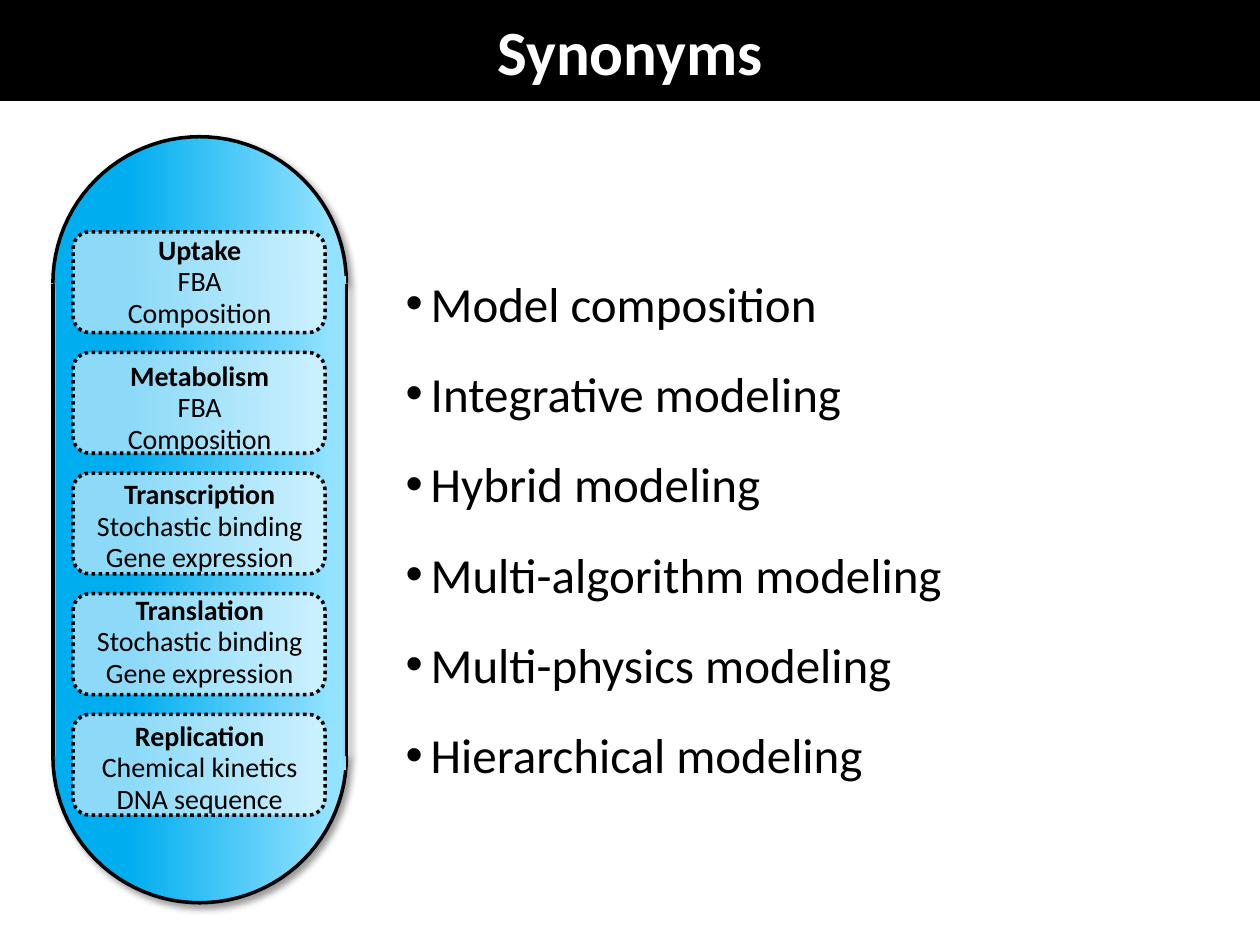
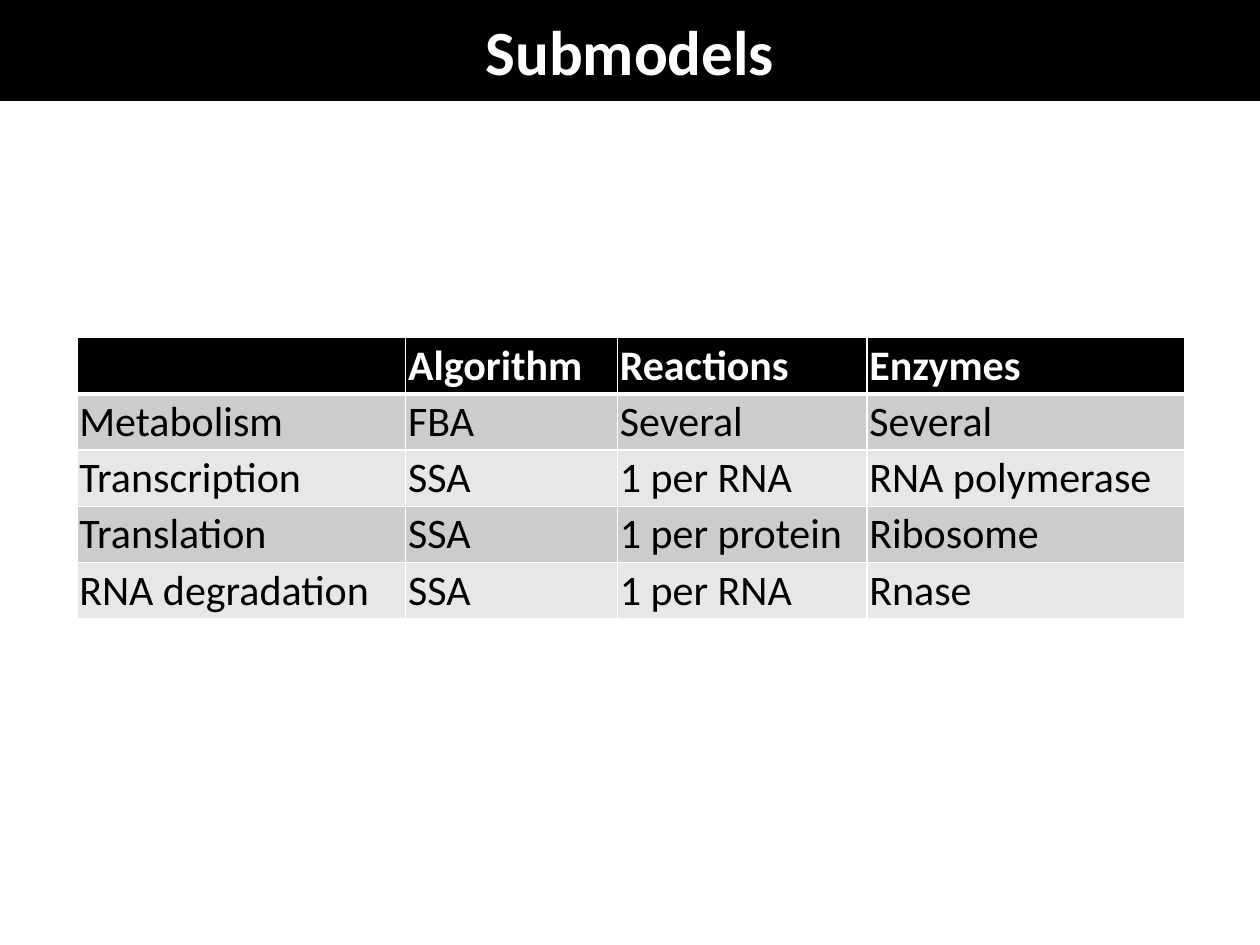
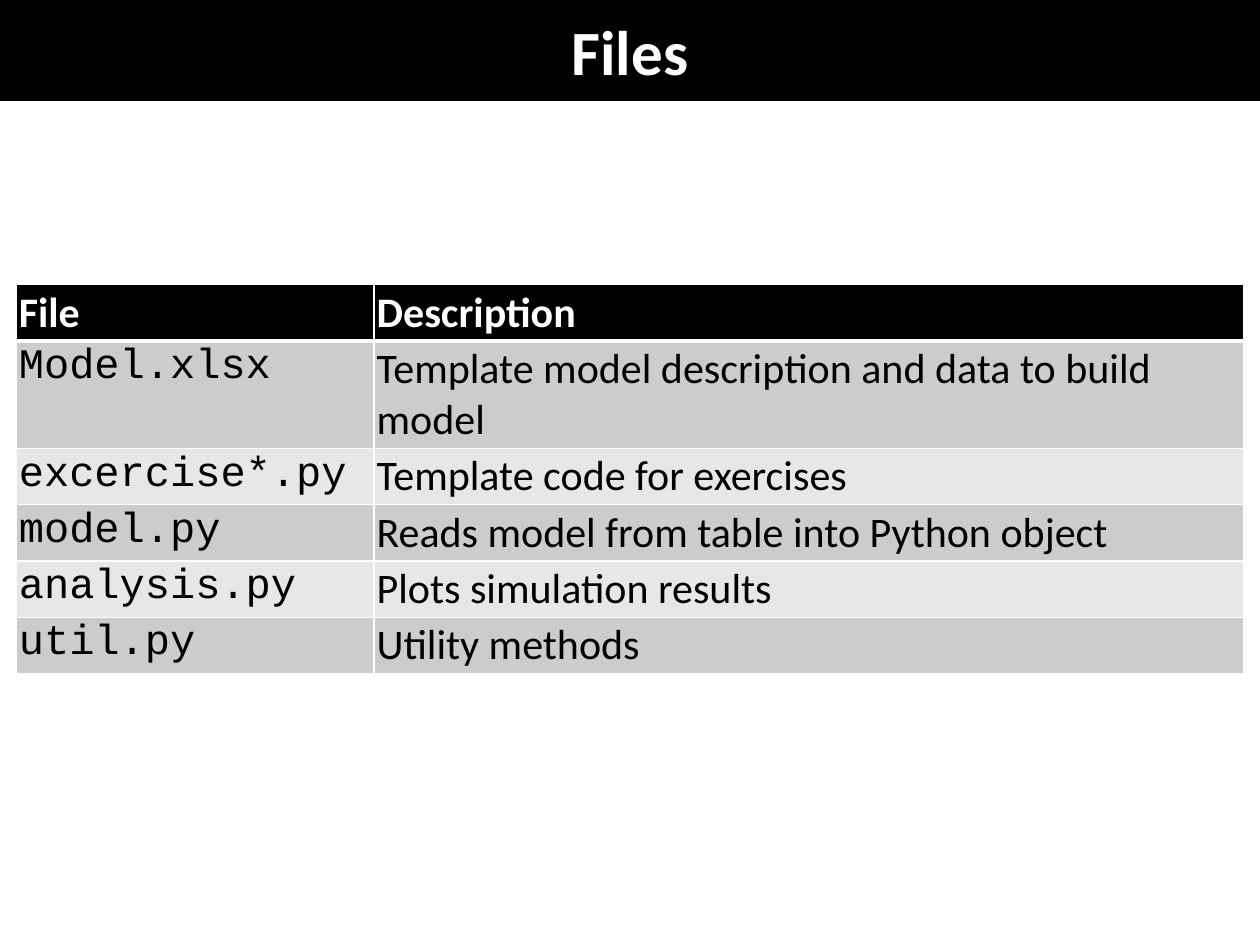
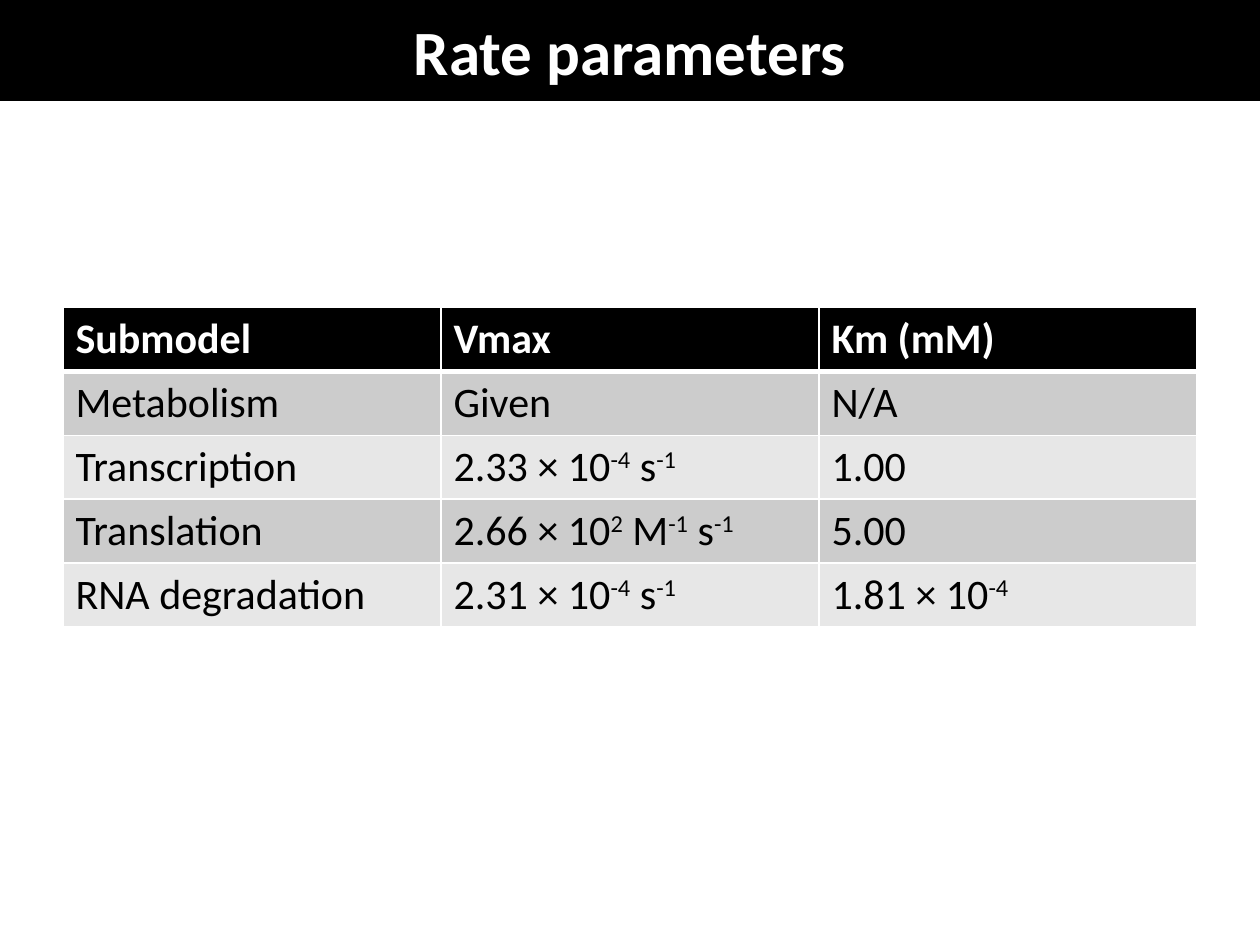
from dataclasses import dataclass
from math import cos, pi, sin

from pptx import Presentation
from pptx.dml.color import RGBColor
from pptx.enum.dml import MSO_LINE
from pptx.enum.shapes import MSO_CONNECTOR, MSO_SHAPE
from pptx.enum.text import MSO_ANCHOR, MSO_AUTO_SIZE, PP_ALIGN
from pptx.oxml import parse_xml
from pptx.oxml.ns import nsdecls, qn
from pptx.util import Inches, Pt

RECTANGLE = MSO_SHAPE.RECTANGLE
ROUNDED = MSO_SHAPE.ROUNDED_RECTANGLE
STRAIGHT = MSO_CONNECTOR.STRAIGHT
DOTTED = MSO_LINE.ROUND_DOT
CENTER = PP_ALIGN.CENTER
LEFT = PP_ALIGN.LEFT
MIDDLE = MSO_ANCHOR.MIDDLE
NO_AUTOFIT = MSO_AUTO_SIZE.NONE
TITLE_ONLY = 5


@dataclass(frozen=True)
class Theme:
    black: str = "000000"
    white: str = "FFFFFF"
    odd_row: str = "CCCCCC"
    even_row: str = "E7E7E7"
    cell_dark: str = "00ADEF"
    cell_light: str = "93E2FF"
    font: str = "Calibri"
    code_font: str = "Courier New"
    title_size: int = 36
    bullet_size: int = 28
    table_size: int = 24
    label_size: int = 16
    outline: int = 2


THEME = Theme()

SYNONYMS = ["Model composition", "Integrative modeling", "Hybrid modeling",
            "Multi-algorithm modeling", "Multi-physics modeling",
            "Hierarchical modeling"]

# Top of each label, then its heading and details
PROCESSES = [
    (1.81, ["Uptake", "FBA", "Composition"]),
    (2.81, ["Metabolism", "FBA", "Composition"]),
    (3.75, ["Transcription", "Stochastic binding", "Gene expression"]),
    (4.67, ["Translation", "Stochastic binding", "Gene expression"]),
    (5.67, ["Replication", "Chemical kinetics", "DNA sequence"]),
]

SUBMODELS = [
    ["", "Algorithm", "Reactions", "Enzymes"],
    ["Metabolism", "FBA", "Several", "Several"],
    ["Transcription", "SSA", "1 per RNA", "RNA polymerase"],
    ["Translation", "SSA", "1 per protein", "Ribosome"],
    ["RNA degradation", "SSA", "1 per RNA", "Rnase"],
]

FILES = [
    ["File", "Description"],
    ["Model.xlsx", "Template model description and data to build model"],
    ["excercise*.py", "Template code for exercises"],
    ["model.py", "Reads model from table into Python object"],
    ["analysis.py", "Plots simulation results"],
    ["util.py", "Utility methods"],
]

# Every second part between bars is superscript
RATES = [
    ["Submodel", "Vmax", "Km (mM)"],
    ["Metabolism", "Given", "N/A"],
    ["Transcription", "2.33 × 10|-4| s|-1", "1.00"],
    ["Translation", "2.66 × 10|2| M|-1| s|-1", "5.00"],
    ["RNA degradation", "2.31 × 10|-4| s|-1", "1.81 × 10|-4"],
]


def rgb(color):
    return RGBColor.from_string(color)


def style_font(font, size, color=THEME.black, bold=False, name=THEME.font):
    font.name = name
    font.size = Pt(size)
    font.bold = bold
    font.color.rgb = rgb(color)


def set_shadow(shape, visible):
    """Replace the theme shadow by a soft diagonal one, or by none."""
    shadow = (
        f'<a:outerShdw blurRad="{Pt(4)}" dist="{Pt(3)}" dir="2700000" algn="tl" '
        f'rotWithShape="0"><a:srgbClr val="{THEME.black}"><a:alpha val="40000"/>'
        "</a:srgbClr></a:outerShdw>") if visible else ""
    shape._element.spPr.append(
        parse_xml(f'<a:effectLst {nsdecls("a")}>{shadow}</a:effectLst>'))


def set_outline(shape):
    shape.line.color.rgb = rgb(THEME.black)
    shape.line.width = Pt(THEME.outline)


def fill_cytoplasm(shape):
    shape.fill.gradient()
    shape.fill.gradient_angle = 0
    stops = [(0.25, THEME.cell_dark), (0.95, THEME.cell_light)]
    for stop, (position, color) in zip(shape.fill.gradient_stops, stops):
        stop.position = position
        stop.color.rgb = rgb(color)


def add_titled_slide(prs, text):
    slide = prs.slides.add_slide(prs.slide_layouts[TITLE_ONLY])
    title = slide.shapes.title
    title.left = title.top = 0
    title.width, title.height = prs.slide_width, Inches(0.8)
    title.fill.solid()
    title.fill.fore_color.rgb = rgb(THEME.black)
    frame = title.text_frame
    frame.text = text
    frame.auto_size = NO_AUTOFIT
    frame.vertical_anchor = MIDDLE
    frame.margin_left = frame.margin_right = 0
    frame.margin_top = frame.margin_bottom = 0
    heading = frame.paragraphs[0]
    heading.alignment = CENTER
    style_font(heading.runs[0].font, THEME.title_size, THEME.white, True)
    return slide


def add_text(slide, lines, left, top, width, height):
    box = slide.shapes.add_textbox(
        Inches(left), Inches(top), Inches(width), Inches(height))
    box.text_frame.word_wrap = True
    box.text_frame.text = "\n".join(lines)
    return box.text_frame.paragraphs


def add_bullets(slide, lines, left, top, width, height):
    for i, paragraph in enumerate(add_text(slide, lines, left, top, width, height)):
        properties = paragraph._p.get_or_add_pPr()
        properties.set("marL", str(Inches(0.2)))
        properties.set("indent", str(-Inches(0.2)))
        properties.append(parse_xml(f'<a:buFont {nsdecls("a")} typeface="Arial"/>'))
        properties.append(parse_xml(f'<a:buChar {nsdecls("a")} char="•"/>'))
        paragraph.alignment = LEFT
        if i:
            paragraph.space_before = Pt(18)
        style_font(paragraph.runs[0].font, THEME.bullet_size)


def add_cap(slide, left, right, base, direction):
    """Half circle on a level base; direction is -1 for up and 1 for down."""
    steps = 48
    center, radius = (left + right) / 2, (right - left) / 2
    points = [(Inches(center - radius * cos(pi * i / steps)),
               Inches(base + direction * radius * sin(pi * i / steps)))
              for i in range(steps + 1)]
    builder = slide.shapes.build_freeform(*points[0])
    builder.add_line_segments(points[1:], close=False)
    cap = builder.convert_to_shape()
    fill_cytoplasm(cap)
    set_outline(cap)
    set_shadow(cap, True)


def add_wall(slide, x, top, bottom, shadow):
    wall = slide.shapes.add_connector(
        STRAIGHT, Inches(x), Inches(top), Inches(x), Inches(bottom))
    set_outline(wall)
    set_shadow(wall, shadow)


def add_cell_body(slide):
    left, right, top, bottom = 0.42, 2.75, 2.25, 6
    add_cap(slide, left, right, top, -1)
    add_cap(slide, left, right, bottom, 1)
    middle = slide.shapes.add_shape(
        RECTANGLE, Inches(0.44), Inches(2.19), Inches(2.31), Inches(3.92))
    fill_cytoplasm(middle)
    middle.line.fill.background()
    set_shadow(middle, False)
    add_wall(slide, left, top, bottom, False)
    add_wall(slide, right, top, bottom, True)


def add_process_box(slide, top):
    box = slide.shapes.add_shape(
        ROUNDED, Inches(0.58), Inches(top), Inches(2), Inches(0.8))
    box.fill.solid()
    box.fill.fore_color.rgb = rgb(THEME.white)
    fill_color = box._element.spPr.find(qn("a:solidFill")).find(qn("a:srgbClr"))
    fill_color.append(parse_xml(f'<a:alpha {nsdecls("a")} val="55000"/>'))
    set_outline(box)
    box.line.dash_style = DOTTED
    set_shadow(box, False)


def add_process_label(slide, lines, top):
    for i, paragraph in enumerate(add_text(slide, lines, 0.51, top, 2.15, 0.86)):
        paragraph.alignment = CENTER
        paragraph.line_spacing = Pt(18)
        style_font(paragraph.runs[0].font, THEME.label_size, bold=i == 0)


def add_cell_diagram(slide):
    add_cell_body(slide)
    first_top, last_top = 1.84, 5.67
    pitch = (last_top - first_top) / (len(PROCESSES) - 1)
    for i in range(len(PROCESSES)):
        add_process_box(slide, first_top + i * pitch)
    for label_top, lines in PROCESSES:
        add_process_label(slide, lines, label_top)


def set_borders(cell, top, bottom):
    """White borders, with the top and bottom widths in points."""
    for side, width in (("L", 1), ("R", 1), ("T", top), ("B", bottom)):
        cell._tc.get_or_add_tcPr().append(parse_xml(
            f'<a:ln{side} {nsdecls("a")} w="{Pt(width)}"><a:solidFill>'
            f'<a:srgbClr val="{THEME.white}"/></a:solidFill></a:ln{side}>'))


def write_cell(cell, text, **font):
    paragraph = cell.text_frame.paragraphs[0]
    for i, part in enumerate(text.split("|") if text else []):
        run = paragraph.add_run()
        run.text = part
        style_font(run.font, THEME.table_size, **font)
        if i % 2:
            run._r.get_or_add_rPr().set("baseline", "30000")


def add_data_table(slide, rows, left, top, widths, heights,
                   margin=None, code_column=None):
    table = slide.shapes.add_table(
        len(rows), len(widths), Inches(left), Inches(top),
        Inches(sum(widths)), Inches(sum(heights))).table
    table.horz_banding = False
    for column, width in zip(table.columns, widths):
        column.width = Inches(width)
    for r, (values, height) in enumerate(zip(rows, heights)):
        table.rows[r].height = Inches(height)
        header = r == 0
        fill = THEME.black if header else THEME.odd_row if r % 2 else THEME.even_row
        for c, text in enumerate(values):
            cell = table.cell(r, c)
            if margin is not None:
                cell.margin_left = cell.margin_right = Inches(margin)
                cell.margin_top = cell.margin_bottom = Inches(margin)
            set_borders(cell, 3 if r == 1 else 1, 3 if header else 1)
            cell.fill.solid()
            cell.fill.fore_color.rgb = rgb(fill)
            is_code = c == code_column and not header
            write_cell(cell, text, bold=header,
                       color=THEME.white if header else THEME.black,
                       name=THEME.code_font if is_code else THEME.font)


def main():
    prs = Presentation()
    prs.slide_width, prs.slide_height = Inches(10), Inches(7.5)

    synonyms = add_titled_slide(prs, "Synonyms")
    add_bullets(synonyms, SYNONYMS, 3.12, 2.12, 6.68, 4.17)
    add_cell_diagram(synonyms)

    submodels = add_titled_slide(prs, "Submodels")
    add_data_table(submodels, SUBMODELS, 0.61, 2.68, [2.61, 1.68, 1.98, 2.52],
                   [0.44] * 5, margin=0.02)

    files = add_titled_slide(prs, "Files")
    add_data_table(files, FILES, 0.13, 2.26, [2.84, 6.9],
                   [0.44, 0.84] + [0.44] * 4, margin=0.02, code_column=0)

    rates = add_titled_slide(prs, "Rate parameters")
    add_data_table(rates, RATES, 0.5, 2.44, [3] * 3, [0.5] * 5)

    prs.save("out.pptx")


if __name__ == "__main__":
    main()
